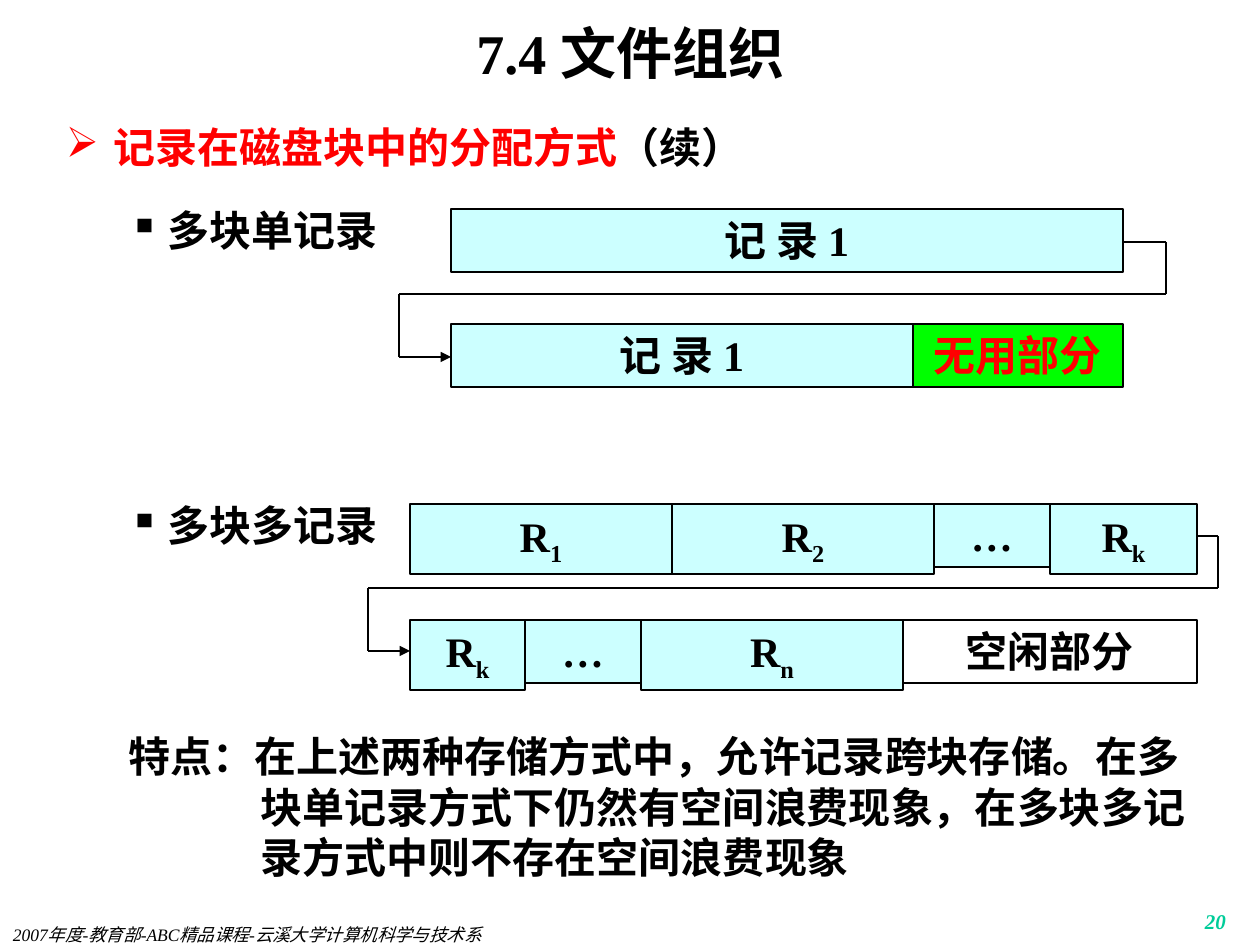
from lxml import etree
from pptx import Presentation
from pptx.dml.color import RGBColor
from pptx.enum.shapes import MSO_CONNECTOR, MSO_SHAPE
from pptx.enum.text import MSO_ANCHOR, MSO_AUTO_SIZE, PP_ALIGN
from pptx.oxml.ns import qn
from pptx.util import Emu, Pt

RECT, STRAIGHT = MSO_SHAPE.RECTANGLE, MSO_CONNECTOR.STRAIGHT
TOP, MIDDLE = MSO_ANCHOR.TOP, MSO_ANCHOR.MIDDLE
LEFT, CENTER, RIGHT = PP_ALIGN.LEFT, PP_ALIGN.CENTER, PP_ALIGN.RIGHT
NO_AUTOFIT = MSO_AUTO_SIZE.NONE

COLORS = {
    "ink": "000000", "accent": "FF0000", "record": "CCFFFF",
    "wasted": "00FF00", "free": "FFFFFF", "number": "00CC99",
}
SERIF, SANS = "Times New Roman", "Arial"
PX_PER_INCH = 126
BLOCK_HEIGHT, SUBSCRIPT_HEIGHT = 63, 70


def px(length):
    return Emu(round(length * 914400 / PX_PER_INCH))


def rgb(name):
    return RGBColor.from_string(COLORS[name])


class SlideBuilder:
    """Holds the style and the slide being built."""

    def __init__(self, slide):
        self.slide = slide
        self.shapes = slide.shapes

    def format_run(self, run, size=24, color="ink", font=SERIF, bold=True, italic=False):
        run.font.size, run.font.name = Pt(size), font
        run.font.bold, run.font.italic = bold, italic
        run.font.color.rgb = rgb(color)

    def frame(self, shape, align=LEFT, anchor=TOP, inset_y=6):
        """Set up a shape's text frame and return its first paragraph."""
        frame = shape.text_frame
        frame.word_wrap = True
        frame.auto_size = NO_AUTOFIT
        frame.vertical_anchor = anchor
        frame.margin_left = frame.margin_right = px(13)
        frame.margin_top = frame.margin_bottom = px(inset_y)
        paragraph = frame.paragraphs[0]
        paragraph.alignment = align
        return paragraph

    def title(self, text, x, y, width, height):
        title = self.shapes.title
        title.left, title.top = px(x), px(y)
        title.width, title.height = px(width), px(height)
        title.text_frame.text = text
        paragraph = self.frame(title, CENTER, MIDDLE, 0)
        self.format_run(paragraph.runs[0], size=32)

    def text(self, text, x, y, width, height, align=LEFT, inset_y=6, **style):
        box = self.shapes.add_textbox(px(x), px(y), px(width), px(height))
        paragraph = self.frame(box, align, inset_y=inset_y)
        paragraph.text = text
        self.format_run(paragraph.runs[0], **style)
        return paragraph

    def indent(self, paragraph, margin, hanging, bullet=None, color="ink"):
        properties = paragraph._p.get_or_add_pPr()
        properties.set("marL", str(px(margin)))
        properties.set("indent", str(-px(hanging)))
        if bullet:
            bullet_color = etree.SubElement(properties, qn("a:buClr"))
            etree.SubElement(bullet_color, qn("a:srgbClr"), val=COLORS[color])
            etree.SubElement(properties, qn("a:buChar"), char=bullet)

    def block(self, x, y, width, text, subscript="", fill="record", color="ink"):
        height = SUBSCRIPT_HEIGHT if subscript else BLOCK_HEIGHT
        block = self.shapes.add_shape(RECT, px(x), px(y), px(width), px(height))
        block.shadow.inherit = False
        block.fill.solid()
        block.fill.fore_color.rgb = rgb(fill)
        block.line.color.rgb = rgb("ink")
        block.line.width = Pt(0.75)
        paragraph = self.frame(block, CENTER)
        paragraph.text = text
        self.format_run(paragraph.runs[0], color=color)
        if subscript:
            index = paragraph.add_run()
            index.text = subscript
            self.format_run(index, color=color)
            index.font._element.set("baseline", "-25000")

    def block_row(self, x, y, blocks):
        """Lay blocks side by side; each is (width, text, options)."""
        for width, text, options in blocks:
            self.block(x, y, width, text, **options)
            x += width

    def continuation(self, points):
        """Draw a chain of straight lines, with an arrowhead on the last."""
        for start, end in zip(points, points[1:]):
            line = self.shapes.add_connector(STRAIGHT, *map(px, start + end))
            line.line.color.rgb = rgb("ink")
            line.line.width = Pt(0.75)
            if end == points[-1]:
                etree.SubElement(line.line._get_or_add_ln(), qn("a:tailEnd"), type="triangle")
            etree.SubElement(line._element.spPr, qn("a:effectLst"))


def main():
    deck = Presentation()
    deck.slide_width, deck.slide_height = px(1260), px(945)
    page = SlideBuilder(deck.slides.add_slide(deck.slide_layouts[5]))

    page.title("7.4 文件组织", 95, 21, 1071, 63)
    page.text("20", 977, 903, 262, 32, RIGHT, size=12, color="number", italic=True)
    page.text("2007年度-教育部-ABC精品课程-云溪大学计算机科学与技术系", 0, 924, 693, 21,
              inset_y=0, size=10, bold=False, italic=True)

    topic = page.text("记录在磁盘块中的分配方式", 53, 116, 1071, 73, font=SANS, color="accent")
    continued = topic.add_run()
    continued.text = "（续）"
    page.format_run(continued, font=SANS)
    page.indent(topic, 48, 48, "➢", "accent")

    for heading, y in (("多块单记录", 199), ("多块多记录", 494)):
        page.indent(page.text(heading, 53, y, 405, 78), 102, 39, "▪")

    features = page.text(
        "特点：在上述两种存储方式中，允许记录跨块存储。在多块单记录方式下仍然有空间浪费现象，"
        "在多块多记录方式中则不存在空间浪费现象", 53, 725, 1155, 179)
    page.indent(features, 195, 132)

    page.block_row(451, 209, [(672, "记 录 1", {})])
    page.block_row(451, 324, [
        (462, "记 录 1", {}),
        (210, "无用部分", {"fill": "wasted", "color": "accent"}),
    ])
    page.block_row(410, 504, [
        (262, "R", {"subscript": "1"}),
        (262, "R", {"subscript": "2"}),
        (116, "…", {}),
        (147, "R", {"subscript": "k"}),
    ])
    page.block_row(410, 620, [
        (115, "R", {"subscript": "k"}),
        (116, "…", {}),
        (262, "R", {"subscript": "n"}),
        (294, "空闲部分", {"fill": "free"}),
    ])

    for row_end, outer_right, outer_left, row_start, y in (
        (1123, 1166, 399, 451, 242),
        (1197, 1218, 368, 410, 536),
    ):
        gap_y, next_y = y + 52, y + 115
        page.continuation([
            (row_end, y), (outer_right, y), (outer_right, gap_y),
            (outer_left, gap_y), (outer_left, next_y), (row_start, next_y),
        ])

    deck.save("out.pptx")


if __name__ == "__main__":
    main()
